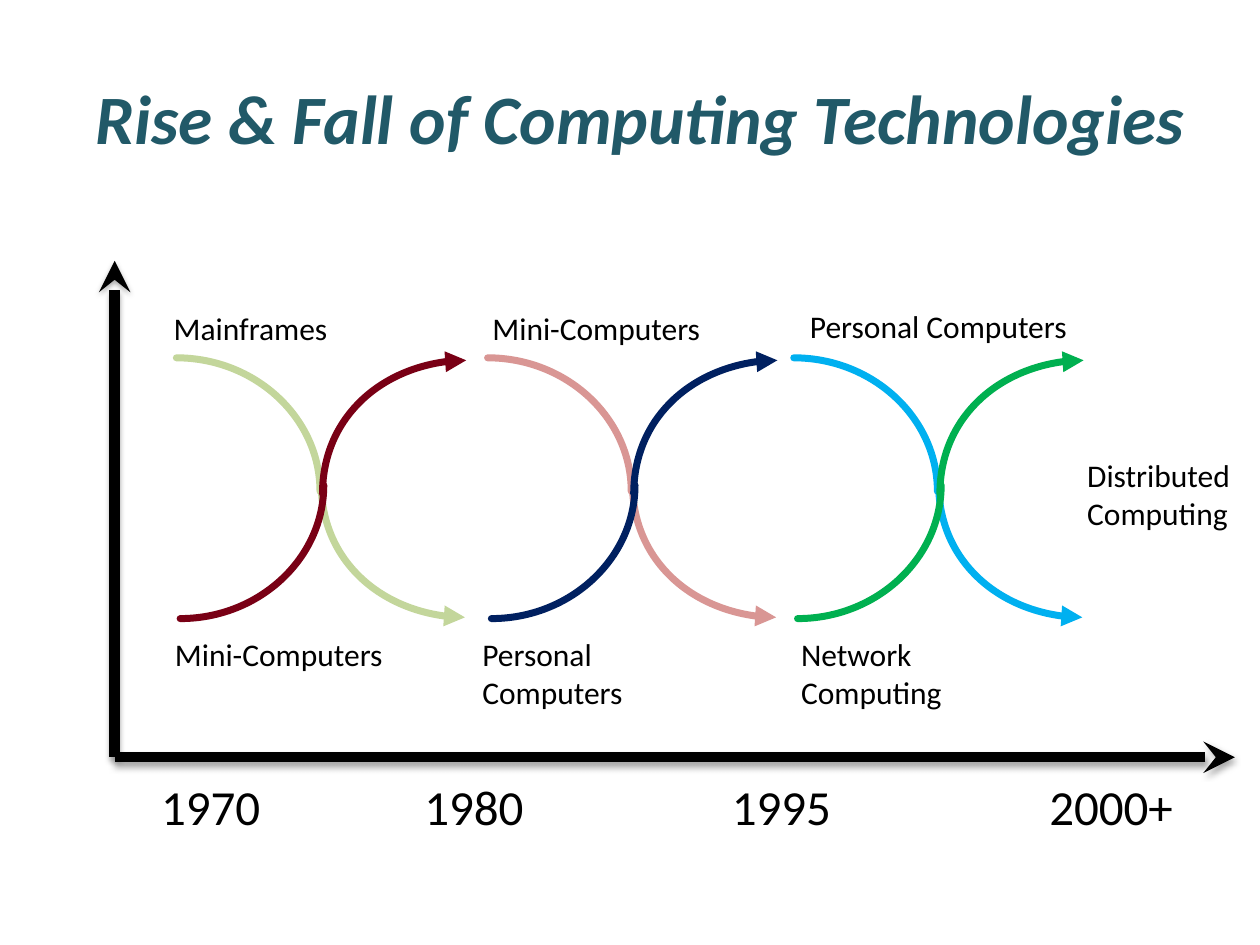
from lxml.etree import SubElement
from pptx import Presentation
from pptx.dml.color import RGBColor
from pptx.enum.shapes import MSO_CONNECTOR
from pptx.enum.text import MSO_ANCHOR, MSO_AUTO_SIZE, PP_ALIGN
from pptx.oxml.ns import qn
from pptx.util import Inches, Pt

BLACK = RGBColor(0x00, 0x00, 0x00)
TEAL = RGBColor(0x21, 0x59, 0x68)
SAGE = RGBColor(0xC3, 0xD6, 0x9B)
MAROON = RGBColor(0x79, 0x00, 0x15)
ROSE = RGBColor(0xD9, 0x96, 0x94)
NAVY = RGBColor(0x00, 0x20, 0x60)
SKY = RGBColor(0x00, 0xB0, 0xF0)
GREEN = RGBColor(0x00, 0xB0, 0x50)

TITLE = "Rise & Fall of Computing Technologies"
TECHNOLOGIES = [
    ("Mainframes", 1.28, 2.4, 1.43),
    ("Mini-Computers", 3.81, 2.4, 1.87),
    ("Personal Computers", 6.33, 2.39, 2.26),
    ("Mini-Computers", 1.29, 4.99, 1.87),
    ("Personal\nComputers", 3.73, 4.99, 1.33),
    ("Network\nComputing", 6.26, 4.99, 1.33),
    ("Distributed\nComputing", 8.53, 3.57, 1.35),
]
YEARS = [("1970", 1.18, 1), ("1980", 3.27, 1), ("1995", 5.71, 1), ("2000+", 8.23, 1.2)]
YEAR_TOP = 6.11
WAVES = [(1.4, SAGE, MAROON), (3.87, ROSE, NAVY), (6.3, SKY, GREEN)]
ARC_W, ARC_H = 1.14, 1.06
FALL = [(0, 2.84, 1, 1, None), (2.29, 4.9, -1, -1, "triangle")]
RISE = [(0.03, 4.91, 1, -1, None), (2.3, 2.86, -1, 1, "triangle")]
ROUNDNESS = 0.55
ORIGIN = (0.91, 6.01)
AXIS_TIPS = [(0.91, 2.07), (9.8, 6.01)]


def add_text(slide, text, left, top, width, height, size, color=BLACK):
    box = slide.shapes.add_textbox(*map(Inches, (left, top, width, height)))
    frame = box.text_frame
    frame.word_wrap = False
    frame.auto_size = MSO_AUTO_SIZE.SHAPE_TO_FIT_TEXT
    frame.text = text
    for paragraph in frame.paragraphs:
        for run in paragraph.runs:
            run.font.name = "Calibri"
            run.font.size = Pt(size)
            run.font.color.rgb = color
    return frame


def style_line(line, color, width, arrow):
    line.color.rgb = color
    line.width = Pt(width)
    if arrow:
        SubElement(line._get_or_add_ln(), qn("a:headEnd"), type=arrow)


def add_arc(slide, x, y, dx, dy, color, arrow):
    outer = Inches(x), Inches(y)
    center = Inches(x + dx * ARC_W), Inches(y + dy * ARC_H)
    builder = slide.shapes.build_freeform(*outer)
    builder.add_line_segments([center], close=False)
    arc = builder.convert_to_shape()
    arc.shadow.inherit = False
    arc.fill.background()
    style_line(arc.line, color, 4, arrow)
    arc.line._get_or_add_ln().set("cap", "rnd")

    segment = next(arc._element.iter(qn("a:lnTo")))
    x0, x1 = (0, arc.width) if dx > 0 else (arc.width, 0)
    y0, y1 = (0, arc.height) if dy > 0 else (arc.height, 0)
    curve = SubElement(segment.getparent(), qn("a:cubicBezTo"))
    controls = [(x0 + ROUNDNESS * (x1 - x0), y0), (x1, y1 - ROUNDNESS * (y1 - y0)), (x1, y1)]
    for px, py in controls:
        SubElement(curve, qn("a:pt"), x=str(int(px)), y=str(int(py)))
    segment.getparent().remove(segment)


def add_axis(slide, tip):
    axis = slide.shapes.add_connector(MSO_CONNECTOR.STRAIGHT, *map(Inches, tip + ORIGIN))
    style_line(axis.line, BLACK, 6, "stealth")
    effects = SubElement(axis._element.spPr, qn("a:effectLst"))
    shadow = SubElement(effects, qn("a:outerShdw"), blurRad=str(Pt(3.1)),
                        dist=str(Pt(1.8)), dir="5400000", rotWithShape="0")
    tint = SubElement(shadow, qn("a:srgbClr"), val=str(BLACK))
    SubElement(tint, qn("a:alpha"), val="35000")


def main():
    deck = Presentation()
    deck.slide_width, deck.slide_height = Inches(10), Inches(7.5)
    slide = deck.slides.add_slide(deck.slide_layouts[6])

    title = add_text(slide, TITLE, 0.5, 0.3, 9, 1.25, 39.6, TEAL)
    title.auto_size = MSO_AUTO_SIZE.NONE
    title.word_wrap = True
    title.vertical_anchor = MSO_ANCHOR.MIDDLE
    heading = title.paragraphs[0]
    heading.alignment = PP_ALIGN.RIGHT
    heading.runs[0].font.bold = heading.runs[0].font.italic = True

    for name, left, top, width in TECHNOLOGIES:
        add_text(slide, name, left, top, width, 0.71 if "\n" in name else 0.4, 18)

    for left, fall_color, rise_color in WAVES:
        for arcs, color in ((FALL, fall_color), (RISE, rise_color)):
            for offset, y, dx, dy, arrow in arcs:
                add_arc(slide, left + offset, y, dx, dy, color, arrow)

    for year, left, width in YEARS:
        add_text(slide, year, left, YEAR_TOP, width, 0.57, 28)
    for tip in AXIS_TIPS:
        add_axis(slide, tip)

    deck.save("out.pptx")


if __name__ == "__main__":
    main()
